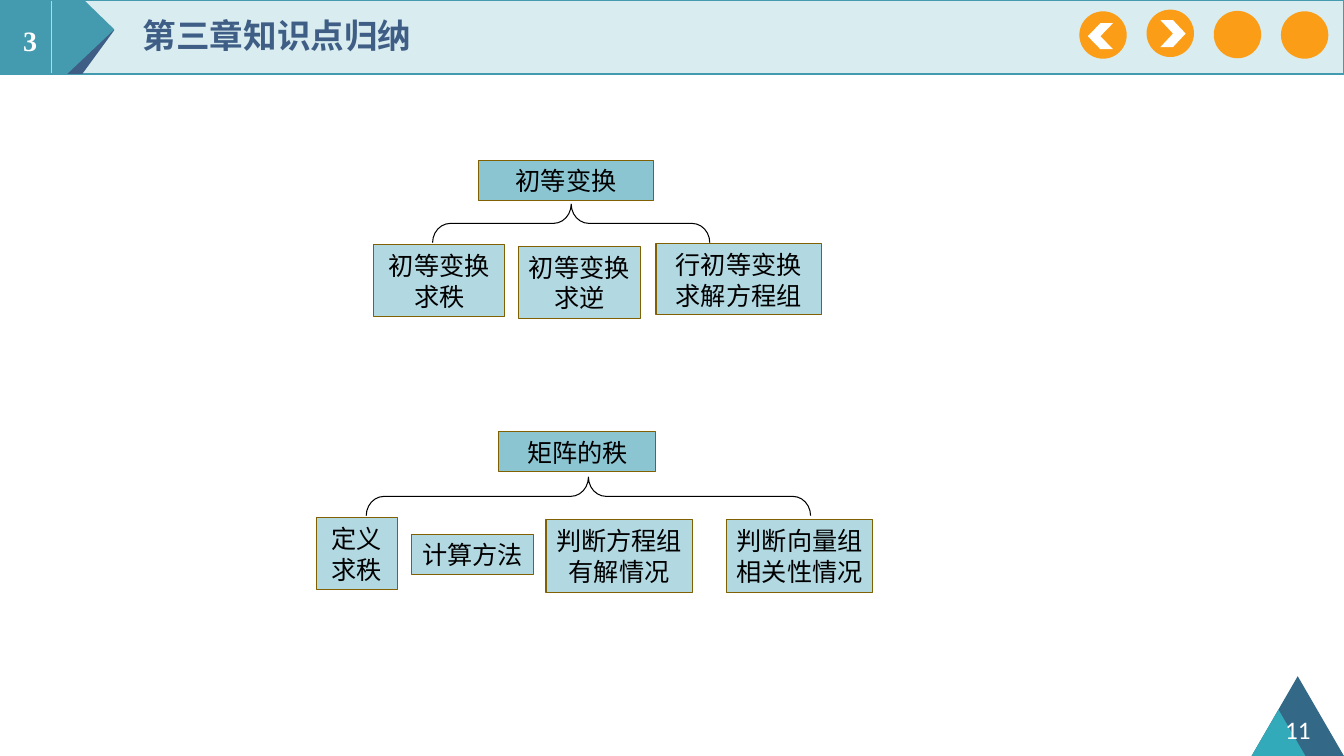
from dataclasses import dataclass

from lxml import etree
from pptx import Presentation
from pptx.dml.color import RGBColor
from pptx.enum.shapes import MSO_SHAPE
from pptx.enum.text import MSO_ANCHOR, PP_ALIGN
from pptx.oxml.ns import qn
from pptx.util import Emu, Inches, Pt

RECT, OVAL = MSO_SHAPE.RECTANGLE, MSO_SHAPE.OVAL
CHEVRON, BRACE = MSO_SHAPE.CHEVRON, MSO_SHAPE.LEFT_BRACE
LEFT, CENTER, MIDDLE = PP_ALIGN.LEFT, PP_ALIGN.CENTER, MSO_ANCHOR.MIDDLE

COLS, ROWS = 160, 90
CELL = Inches(13.333) / COLS
BAND_ROWS = 8.8


@dataclass(frozen=True)
class Theme:
    band: str = "D9ECF0"
    teal: str = "449BAF"
    navy: str = "3E5E85"
    peak: str = "336987"
    foothill: str = "33AAB9"
    button: str = "FF9500"
    root: str = "8CC5D2"
    child: str = "B2D8E1"
    border: str = "806000"
    ink: str = "000000"
    white: str = "FFFFFF"
    cjk: str = "Noto Sans CJK SC"
    serif: str = "Times New Roman"
    sans: str = "Calibri"
    title_size: int = 24
    chapter_size: int = 20
    body_size: int = 18
    body_leading: int = 22


THEME = Theme()

# Each tree: root box, brace, child boxes; boxes are column, row, columns, rows
TREES = [
    (("初等变换", 57, 19.1, 20.8, 4.8),
     (51.5, 24.3, 33, 4.6),
     [("初等变换求秩", 44.5, 29.1, 15.6, 8.6),
      ("初等变换\n求逆", 61.7, 29.3, 14.5, 8.6),
      ("行初等变换\n求解方程组", 78.1, 29, 19.7, 8.5)]),
    (("矩阵的秩", 59.4, 51.4, 18.7, 4.8),
     (43.6, 56.8, 52.9, 4.6),
     [("定义\n求秩", 37.7, 61.6, 9.6, 8.6),
      ("计算方法", 49, 63.6, 14.5, 4.8),
      ("判断方程组有解情况", 65, 61.9, 17.4, 8.6),
      ("判断向量组相关性情况", 86.5, 61.9, 17.4, 8.6)]),
]


def cells(*counts):
    return [Emu(round(n * CELL)) for n in counts]


def paint(s, fill=None, line=None, weight=0.75):
    s.shadow.inherit = False
    if fill:
        s.fill.solid()
        s.fill.fore_color.rgb = RGBColor.from_string(fill)
    else:
        s.fill.background()
    if line:
        s.line.color.rgb = RGBColor.from_string(line)
        s.line.width = Pt(weight)
    else:
        s.line.fill.background()
    return s


def add_preset(slide, kind, x, y, w, h, **style):
    return paint(slide.shapes.add_shape(kind, *cells(x, y, w, h)), **style)


def add_polygon(slide, points, fill):
    first, *rest = [cells(*point) for point in points]
    builder = slide.shapes.build_freeform(*first, scale=1.0)
    builder.add_line_segments(rest, close=True)
    return paint(builder.convert_to_shape(), fill)


def write(s, text, *, size=THEME.body_size, font=THEME.cjk, color=THEME.ink,
          bold=False, align=CENTER, inset=0.08, leading=None):
    """Fill a shape with middle-anchored text, one paragraph per line."""
    tf = s.text_frame
    tf.word_wrap = True
    tf.vertical_anchor = MIDDLE
    tf.margin_left = tf.margin_right = Inches(inset)
    tf.margin_top = tf.margin_bottom = 0
    for i, line in enumerate(text.split("\n")):
        p = tf.add_paragraph() if i else tf.paragraphs[0]
        p.alignment = align
        if leading:
            p.line_spacing = Pt(leading)
        r = p.add_run()
        r.text = line
        r.font.size, r.font.bold, r.font.name = Pt(size), bold, font
        r.font.color.rgb = RGBColor.from_string(color)
        east_asian = etree.SubElement(r.font._element, qn("a:ea"))
        east_asian.set("typeface", font)


def add_label(slide, text, x, y, w, h, **text_format):
    write(slide.shapes.add_textbox(*cells(x, y, w, h)), text, **text_format)


def add_box(slide, box, fill):
    text, *frame = box
    s = add_preset(slide, RECT, *frame, fill=fill, line=THEME.border)
    write(s, text, leading=THEME.body_leading)


def add_brace(slide, x, y, w, h):
    """Draw a brace pointing up whose visible frame is x, y, w, h."""
    s = add_preset(slide, BRACE, x + (w - h) / 2, y + (h - w) / 2, h, w,
                   line=THEME.ink)
    s.adjustments[0] = 0.46
    s.rotation = 90


def add_header(slide):
    add_preset(slide, RECT, 0, 0, COLS, BAND_ROWS,
               fill=THEME.band, line=THEME.teal, weight=1)
    add_polygon(slide, [(8.9, 0), (13.6, 3.6), (9.8, BAND_ROWS),
                        (6.6, BAND_ROWS), (6.6, 0)], THEME.navy)
    add_polygon(slide, [(6.18, 0), (10, 0), (13.6, 3.5), (8, BAND_ROWS),
                        (6.18, BAND_ROWS)], THEME.teal)
    add_preset(slide, RECT, 0, 0, 6.1, BAND_ROWS, fill=THEME.teal)
    add_label(slide, "3", 0.6, 1.75, 6, 6, size=THEME.chapter_size,
              font=THEME.serif, color=THEME.white, bold=True)
    add_label(slide, "第三章知识点归纳", 17, 1.2, 100, 6, size=THEME.title_size,
              color=THEME.navy, bold=True, align=LEFT, inset=0)


def add_buttons(slide):
    diameter, pitch, start = 5.64, 8, 128.5
    for i, y in enumerate((1.35, 1.15, 1.3, 1.35)):
        s = add_preset(slide, OVAL, start + i * pitch, y, diameter, diameter,
                       fill=THEME.button)
        color = s.fill._xPr.find(".//" + qn("a:srgbClr"))
        etree.SubElement(color, qn("a:alpha")).set("val", "90000")
    back = add_preset(slide, CHEVRON, start + 1, 2.76, 3, 3.1, fill=THEME.white)
    back.rotation = 180
    add_preset(slide, CHEVRON, start + pitch + 1.65, 2.4, 3, 3.2,
               fill=THEME.white)


def add_page_number(slide, number):
    add_polygon(slide, [(COLS, ROWS), (149, ROWS), (154.5, 80.5)], THEME.peak)
    add_polygon(slide, [(155.4, ROWS), (149, ROWS), (152.2, 84.5)],
                THEME.foothill)
    add_label(slide, number, 150.7, 84.5, 7.6, 4.8, font=THEME.sans,
              color=THEME.white)


def add_tree(slide, root, brace, children):
    add_box(slide, root, THEME.root)
    add_brace(slide, *brace)
    for child in children:
        add_box(slide, child, THEME.child)


def main():
    prs = Presentation()
    prs.slide_width, prs.slide_height = cells(COLS, ROWS)
    slide = prs.slides.add_slide(prs.slide_layouts[6])
    add_header(slide)
    add_buttons(slide)
    add_page_number(slide, "11")
    for tree in TREES:
        add_tree(slide, *tree)
    prs.save("out.pptx")


if __name__ == "__main__":
    main()
